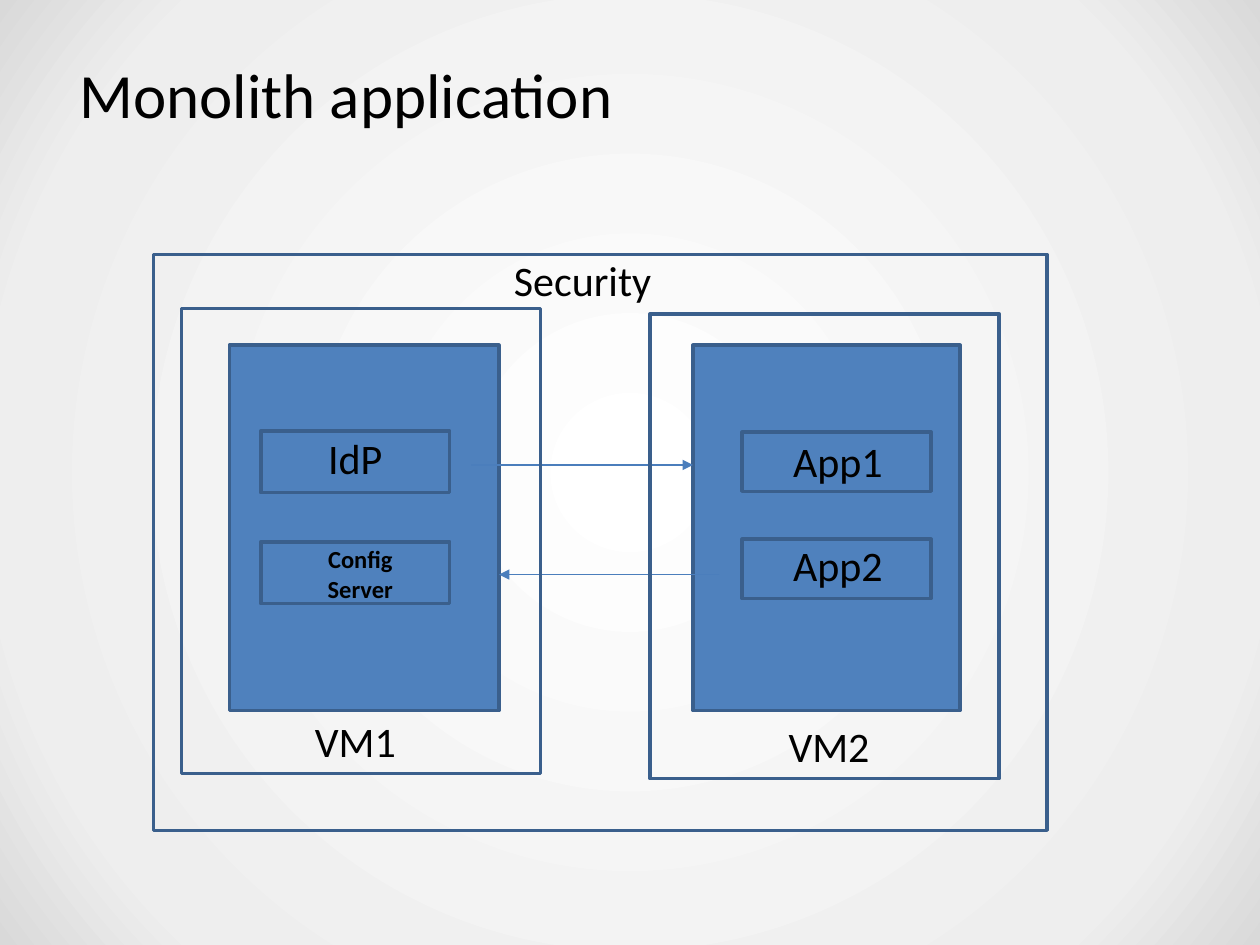
from pptx import Presentation, oxml, util as u
from pptx.dml.color import RGBColor
from pptx.enum import shapes, text
from pptx.oxml import ns

COLUMNS, ROWS = 100, 75
BLUE, OUTLINE, ARROW, BLACK = "4F81BD", "3A5F8C", "4B7EBC", "000000"
BACKGROUND_STOPS = [(0, "FFFFFF"), (81, "EEEEEE"), (100, "D9D9D9")]


def color(value):
    return RGBColor.from_string(value)


def write(frame, content, size=24, bold=False, align=text.PP_ALIGN.CENTER,
          font="Calibri", ink=BLACK):
    frame.word_wrap = True
    paragraph = frame.paragraphs[0]
    paragraph.alignment = align
    run = paragraph.add_run()
    run.text = content
    run.font.name, run.font.size, run.font.bold = font, u.Pt(size), bold
    run.font.color.rgb = color(ink)


class Diagram:
    def __init__(self, presentation):
        self.column = presentation.slide_width / COLUMNS
        self.row = presentation.slide_height / ROWS
        self.slide = presentation.slides.add_slide(presentation.slide_layouts[5])

    def place(self, across, down, *more):
        lengths = (across, down, *more)
        return [round(length * (self.row if index % 2 else self.column))
                for index, length in enumerate(lengths)]

    def background(self, stops):
        self.slide.background.fill.solid()
        properties = self.slide.element.find(".//" + ns.qn("p:bgPr"))
        stop_xml = "".join(
            f'<a:gs pos="{share * 1000}"><a:srgbClr val="{value}"/></a:gs>'
            for share, value in stops)
        gradient = oxml.parse_xml(
            f'<a:gradFill {ns.nsdecls("a")} rotWithShape="1"><a:gsLst>{stop_xml}</a:gsLst>'
            '<a:path path="circle"><a:fillToRect l="50000" t="50000" r="50000" b="50000"/>'
            '</a:path></a:gradFill>')
        properties.replace(properties[0], gradient)

    def title(self, content, *box):
        title = self.slide.shapes.title
        title.left, title.top, title.width, title.height = self.place(*box)
        frame = title.text_frame
        frame.vertical_anchor = text.MSO_ANCHOR.MIDDLE
        frame.margin_left = frame.margin_right = u.Inches(0.13)
        frame.margin_top = frame.margin_bottom = u.Inches(0.07)
        write(frame, content, size=36, align=text.PP_ALIGN.LEFT)

    def box(self, *box, fill=None):
        shape = self.slide.shapes.add_shape(
            shapes.MSO_SHAPE.RECTANGLE, *self.place(*box))
        shape.shadow.inherit = False
        if fill:
            shape.fill.solid()
            shape.fill.fore_color.rgb = color(fill)
        else:
            shape.fill.background()
        shape.line.color.rgb = color(OUTLINE)
        shape.line.width = u.Pt(2)

    def label(self, content, *box, **style):
        shape = self.slide.shapes.add_textbox(*self.place(*box))
        write(shape.text_frame, content, **style)
        shape.text_frame.auto_size = text.MSO_AUTO_SIZE.SHAPE_TO_FIT_TEXT

    def arrow(self, start, end, row):
        connector = self.slide.shapes.add_connector(
            shapes.MSO_CONNECTOR.STRAIGHT, *self.place(start, row, end, row))
        connector.line.color.rgb = color(ARROW)
        connector.line.width = u.Pt(0.75)
        line = connector.line.fill and connector.element.spPr.find(ns.qn("a:ln"))
        line.append(oxml.parse_xml(f'<a:tailEnd {ns.nsdecls("a")} type="triangle"/>'))
        connector.element.spPr.append(
            oxml.parse_xml(f'<a:effectLst {ns.nsdecls("a")}/>'))


def main():
    presentation = Presentation()
    presentation.slide_width, presentation.slide_height = u.Inches(10), u.Inches(7.5)
    diagram = Diagram(presentation)
    diagram.background(BACKGROUND_STOPS)
    diagram.title("Monolith application", 5, 4.1, 90, 6.6)

    for left, width in [(18.2, 21.4), (55, 21.2)]:
        diagram.box(left, 27.4, width, 29, fill=BLUE)
    for left, tops, height in [(20.7, (34.2, 43), 4.9), (58.9, (34.3, 42.8), 4.7)]:
        for top in tops:
            diagram.box(left, top, 15, height, fill=BLUE)

    diagram.label("IdP", 23.5, 33.8, 9.4, 5)
    diagram.label("Config Server", 22.6, 42.7, 12, 5.7, size=14, bold=True)
    diagram.label("App1", 61.8, 34.1, 9.4, 5)
    diagram.label("App2", 61.4, 42.3, 10.2, 5)

    diagram.arrow(37.4, 55, 36.9)
    diagram.arrow(57.1, 39.6, 45.6)

    machines = [("VM1", 14.4, 24.5, 28.5, 22.7), ("VM2", 51.6, 24.9, 27.7, 60.3)]
    for name, left, top, width, label_left in machines:
        diagram.box(left, top, width, 36.9)
        diagram.label(name, label_left, top + 31.8, 11, 5)

    diagram.box(12.2, 20.2, 70.9, 45.7)
    diagram.label("Security", 39.8, 19.7, 15.9, 5, align=text.PP_ALIGN.LEFT)
    presentation.save("out.pptx")


if __name__ == "__main__":
    main()
